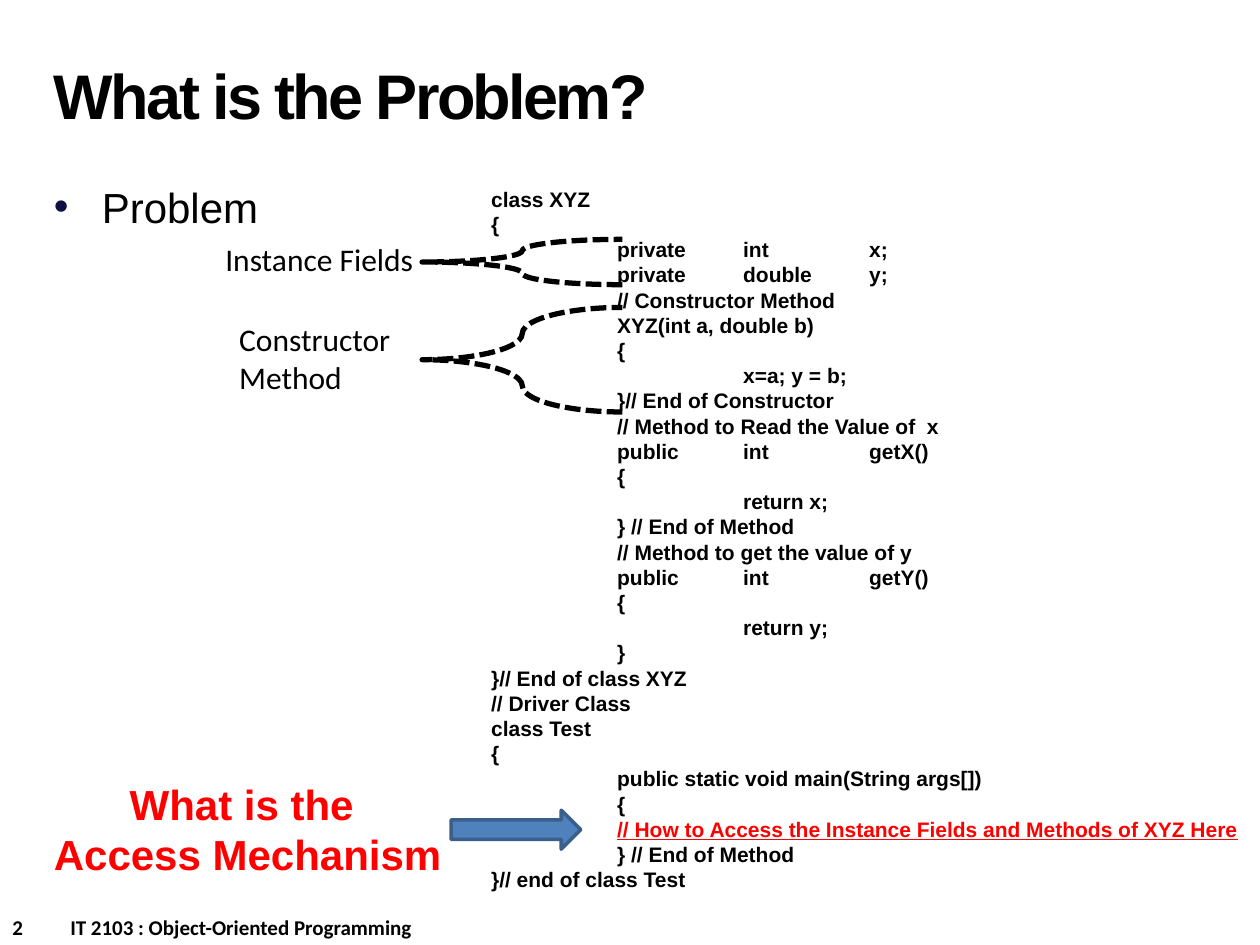
"""Build a slide on reaching the fields and methods of a class."""
import pptx
import pptx.util
import pptx.dml.color
import pptx.enum.dml
import pptx.enum.shapes
import pptx.enum.text
import lxml.etree

Inches, Pt = pptx.util.Inches, pptx.util.Pt
RGB = pptx.dml.color.RGBColor.from_string
Shape = pptx.enum.shapes.MSO_SHAPE
Align = pptx.enum.text.PP_ALIGN
NS = "{http://schemas.openxmlformats.org/drawingml/2006/main}"
theme = {
    "ink": "000000", "alert": "FF0000", "arrow": "4F81BD", "edge": "3A5F8C",
    "bullet": "101141", "head": "Arial", "note": "Calibri",
    "title": 36, "large": 24, "label": 18, "small": 12,
}

deck = pptx.Presentation()
deck.slide_width, deck.slide_height = Inches(10), Inches(7.5)
slide = deck.slides.add_slide(deck.slide_layouts[6])


def write(spot, text, size, font="head", color="ink", bold=True, wrap=True):
    """Add a text box and return its frame."""
    frame = slide.shapes.add_textbox(*map(Inches, spot)).text_frame
    frame.word_wrap = wrap
    frame.text = text
    for line in frame.paragraphs:
        for run in line.runs:
            run.font.size = Pt(theme[size])
            run.font.name = theme[font]
            run.font.bold = bold
            run.font.color.rgb = RGB(theme[color])
    return frame


def set_tabs(frame, stops):
    """Give every paragraph the same left tab stops."""
    for line in frame.paragraphs:
        tabs = lxml.etree.SubElement(line._p.get_or_add_pPr(), NS + "tabLst")
        for stop in stops:
            lxml.etree.SubElement(tabs, NS + "tab", pos=str(Inches(stop)), algn="l")


foot = write((0, 7.21, 5, 0.3), "2\tIT 2103 : Object-Oriented Programming", "small", "note")
set_tabs(foot, [0.46])

topic = write((0.33, 1.39, 2.93, 0.54), "Problem", "large", bold=False)
props = topic.paragraphs[0]._p.get_or_add_pPr()
props.set("marL", str(Inches(0.38)))
props.set("indent", str(Inches(-0.38)))
tint = lxml.etree.SubElement(props, NS + "buClr")
lxml.etree.SubElement(tint, NS + "srgbClr", val=theme["bullet"])
lxml.etree.SubElement(props, NS + "buFont", typeface=theme["head"])
lxml.etree.SubElement(props, NS + "buChar", char="•")
topic.paragraphs[0].space_before = Pt(4.8)

title = write((0.33, 0.17, 6.92, 1.25), "What is the Problem?", "title")
title.vertical_anchor = pptx.enum.text.MSO_ANCHOR.MIDDLE
title.paragraphs[0].line_spacing = Pt(36)
title.paragraphs[0].runs[0].font._element.set("spc", "-150")

source = """class XYZ
{
\tprivate\tint\tx;
\tprivate\tdouble\ty;
\t// Constructor Method
\tXYZ(int a, double b)
\t{
\t\tx=a; y = b;
\t}// End of Constructor
\t// Method to Read the Value of  x
\tpublic\tint\tgetX()
\t{
\t\treturn x;
\t} // End of Method
\t// Method to get the value of y
\tpublic\tint\tgetY()
\t{
\t\treturn y;
\t}
}// End of class XYZ
// Driver Class
class Test
{
\tpublic static void main(String args[])
\t{
\t
\t} // End of Method
}// end of class Test"""
code = write((3.8, 1.43, 6.2, 5.76), source, "small")
set_tabs(code, [1, 2, 3])
hint = code.paragraphs[-3].add_run()
hint.text = "// How to Access the Instance Fields and Methods of XYZ Here"
hint.font.size, hint.font.name = Pt(theme["small"]), theme["head"]
hint.font.bold = hint.font.underline = True
hint.font.color.rgb = RGB(theme["alert"])

arrow = slide.shapes.add_shape(Shape.RIGHT_ARROW, *map(Inches, (3.58, 6.43, 1.03, 0.31)))
arrow.shadow.inherit = False
arrow.fill.solid()
arrow.fill.fore_color.rgb = RGB(theme["arrow"])
arrow.line.color.rgb = RGB(theme["edge"])
arrow.line.width = Pt(2)

ask = write((0.31, 6.13, 3.31, 0.91), "What is the \nAccess Mechanism", "large", color="alert", wrap=False)
for line in ask.paragraphs:
    line.alignment = Align.CENTER

for top, height, spot, text in (
    (1.9, 0.36, (1.69, 1.86, 1.71, 0.4), "Instance Fields"),
    (2.44, 0.83, (1.8, 2.49, 1.47, 0.71), "Constructor\nMethod"),
):
    brace = slide.shapes.add_shape(Shape.LEFT_BRACE, *map(Inches, (3.35, top, 1.59, height)))
    brace.shadow.inherit = False
    brace.adjustments[0] = 0.25
    brace.fill.background()
    brace.line.color.rgb = RGB(theme["ink"])
    brace.line.width = Pt(3)
    brace.line.dash_style = pptx.enum.dml.MSO_LINE.SQUARE_DOT
    write(spot, text, "label", "note", bold=False, wrap=False)

deck.save("out.pptx")
